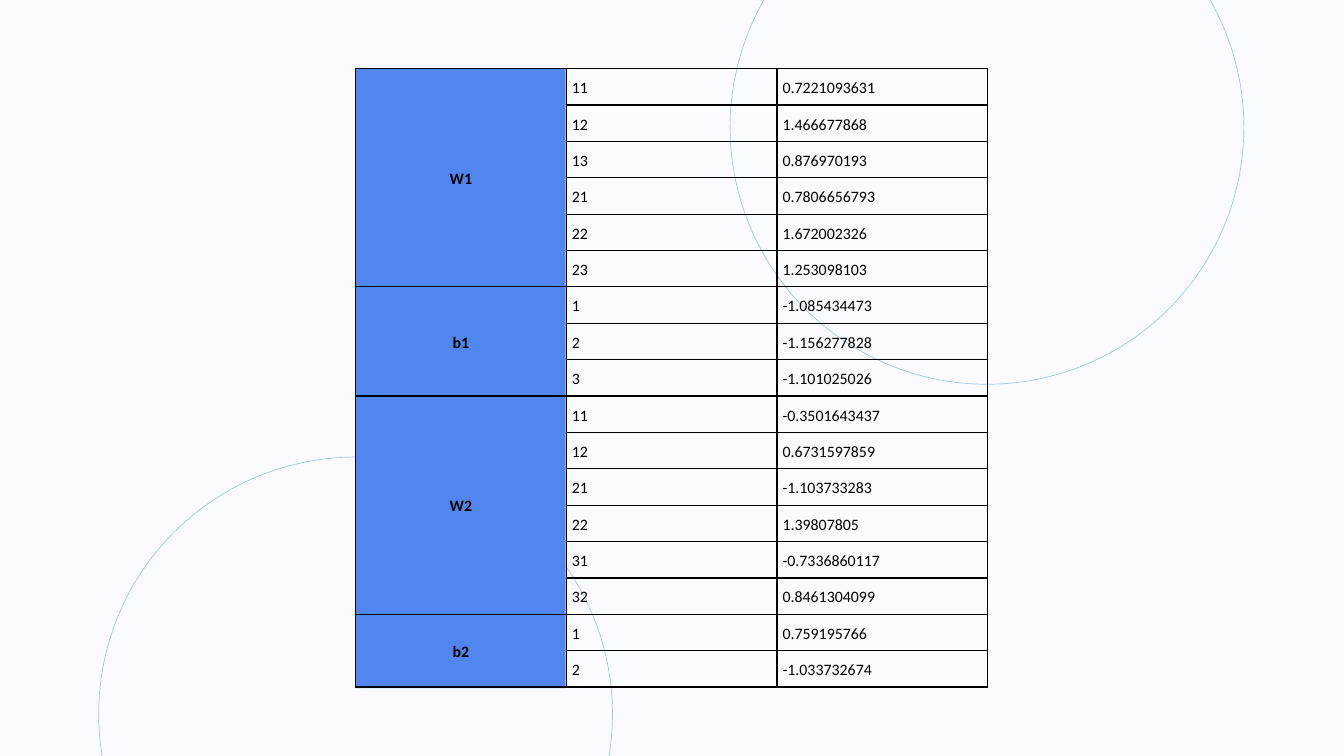
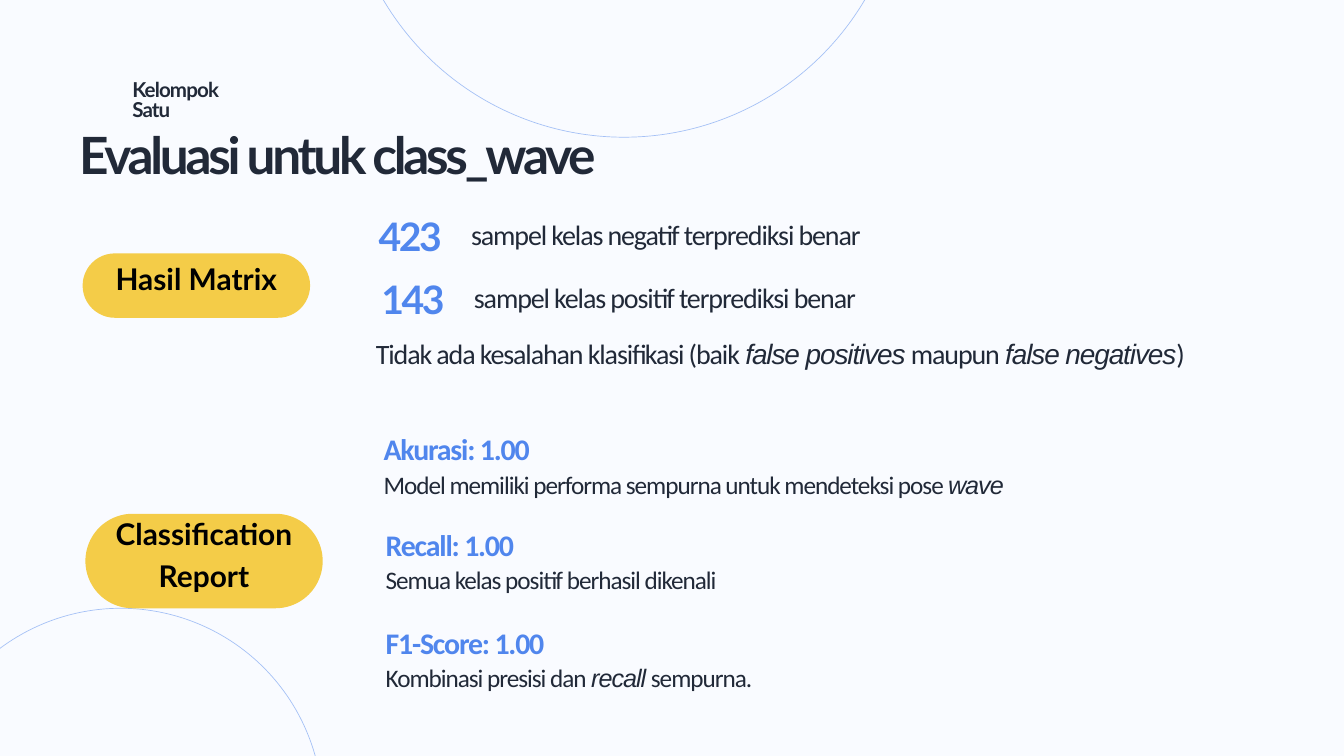
from dataclasses import dataclass

from lxml import etree
from pptx import Presentation
from pptx import util as u
from pptx.dml.color import RGBColor
from pptx.enum import shapes, text
from pptx.oxml.ns import qn

PX = 9525  # EMU in one px; the slide is 1920 by 1080 px
HUES = {
    "back": "F9FBFF",
    "blue": "5086ED",
    "gold": "F4CC48",
    "ink": "212938",
    "black": "000000",
}
KIND = shapes.MSO_SHAPE
MID = text.PP_ALIGN.CENTER


@dataclass(frozen=True)
class Box:
    x: int
    y: int
    w: int
    h: int

    def emu(self) -> list[int]:
        return [v * PX for v in (self.x, self.y, self.w, self.h)]


@dataclass(frozen=True)
class Style:
    face: str
    size: int
    lead: float
    hue: str
    bold: bool = False
    track: float = 0
    align: text.PP_ALIGN = text.PP_ALIGN.LEFT


@dataclass(frozen=True)
class Count:
    x: int
    y: int
    value: str
    label: str


@dataclass(frozen=True)
class Metric:
    x: int
    y: int
    head: str
    body: str


@dataclass(frozen=True)
class Pill:
    box: Box
    rise: int  # how far the label frame starts above the pill
    label: str


@dataclass(frozen=True)
class Group:
    name: str
    rows: dict[str, str]


TITLE = Style("Lato", 55, 51.7, "ink", True, -3.5)
TEAM = Style("Lato", 22, 22.2, "ink", True, -0.9)
NUMBER = Style("Lato", 42, 39.5, "blue", True, -2.7, MID)
LABEL = Style("Calibri", 30, 30.3, "ink", track=-1.2)
HEAD = Style("Calibri", 32, 32.3, "blue", True, -1.3)
BODY = Style("Calibri", 27, 27.2, "ink", track=-1.1)
BADGE = Style("Lato", 32, 44.8, "black", True, align=MID)
CELL = Style("Calibri", 17, 23.8, "black")
GROUP = Style("Calibri", 17, 23.8, "black", True, align=MID)

GROUPS = [
    Group("W1", {"11": "0.7221093631", "12": "1.466677868", "13": "0.876970193",
                 "21": "0.7806656793", "22": "1.672002326", "23": "1.253098103"}),
    Group("b1", {"1": "-1.085434473", "2": "-1.156277828", "3": "-1.101025026"}),
    Group("W2", {"11": "-0.3501643437", "12": "0.6731597859", "21": "-1.103733283",
                 "22": "1.39807805", "31": "-0.7336860117", "32": "0.8461304099"}),
    Group("b2", {"1": "0.759195766", "2": "-1.033732674"}),
]
COUNTS = [
    Count(503, 318, "423", "sampel kelas negatif terprediksi benar"),
    Count(507, 408, "143", "sampel kelas positif terprediksi benar"),
]
PILLS = [
    Pill(Box(118, 362, 325, 92), 28, "Hasil Matrix"),
    Pill(Box(122, 734, 339, 135), 27, "Classification Report"),
]
METRICS = [
    Metric(548, 624, "Akurasi: 1.00",
           "Model memiliki performa sempurna untuk mendeteksi pose *wave*"),
    Metric(551, 760, "Recall: 1.00", "Semua kelas positif berhasil dikenali"),
    Metric(551, 900, "F1-Score: 1.00", "Kombinasi presisi dan *recall* sempurna."),
]


def color(hue: str) -> RGBColor:
    return RGBColor.from_string(HUES[hue])


def write(frame, copy: str, style: Style) -> None:
    """Fill a frame line by line; words between asterisks are italic."""
    for n, line in enumerate(copy.split("\n")):
        para = frame.add_paragraph() if n else frame.paragraphs[0]
        para.alignment = style.align
        para.line_spacing = u.Pt(style.lead)
        font = para.font
        font.name, font.size, font.bold = style.face, u.Pt(style.size), style.bold
        font.color.rgb = color(style.hue)
        for k, part in enumerate(line.split("*")):
            if not part:
                continue
            run = para.add_run()
            run.text = part
            if k % 2:
                run.font.name, run.font.italic = "Arial", True
            if style.track:
                run._r.get_or_add_rPr().set("spc", str(round(style.track * 100)))


def inset(item, pad: int) -> None:
    item.margin_left = item.margin_right = pad * PX
    item.margin_top = item.margin_bottom = pad * PX


def label(slide, box: Box, copy: str, style: Style, pad: int = 0):
    frame = slide.shapes.add_textbox(*box.emu()).text_frame
    frame.word_wrap = True
    frame.auto_size = text.MSO_AUTO_SIZE.SHAPE_TO_FIT_TEXT
    inset(frame, pad)
    write(frame, copy, style)
    return frame


def block(slide, kind: KIND, box: Box, hue: str):
    shape = slide.shapes.add_shape(kind, *box.emu())
    shape.shadow.inherit = False
    shape.fill.solid()
    shape.fill.fore_color.rgb = color(hue)
    shape.line.fill.background()
    return shape


def ring(slide, x: int, y: int, size: int) -> None:
    shape = block(slide, KIND.OVAL, Box(x, y, size, size), "blue")
    shape.fill.background()
    shape.line.color.rgb = color("blue")
    shape.line.width = u.Pt(0.75)
    tint = next(shape._element.spPr.iter(qn("a:srgbClr")))
    etree.SubElement(tint, qn("a:alpha"), val="50000")


def badge(slide, pill: Pill) -> None:
    box = pill.box
    block(slide, KIND.ROUNDED_RECTANGLE, box, "gold").adjustments[0] = 0.5
    area = Box(box.x, box.y - pill.rise, box.w, box.h + pill.rise)
    frame = label(slide, area, pill.label, BADGE, 7)
    frame.auto_size = text.MSO_AUTO_SIZE.NONE
    frame.vertical_anchor = text.MSO_ANCHOR.MIDDLE


def border(cell) -> None:
    props = cell._tc.get_or_add_tcPr()
    for side in "LRTB":
        line = etree.SubElement(props, qn(f"a:ln{side}"), w=str(u.Pt(1.5)))
        fill = etree.SubElement(line, qn("a:solidFill"))
        etree.SubElement(fill, qn("a:srgbClr"), val=HUES["black"])


def grid(slide, x: int, y: int, wide: int, high: int) -> None:
    count = sum(len(group.rows) for group in GROUPS)
    box = Box(x, y, wide * 3, high * count)
    table = slide.shapes.add_table(count, 3, *box.emu()).table
    table.first_row = table.horz_banding = False
    for col in table.columns:
        col.width = wide * PX
    for row in table.rows:
        row.height = high * PX
    for cell in table.iter_cells():
        border(cell)
        cell.fill.background()
        inset(cell, 8)
        cell.vertical_anchor = text.MSO_ANCHOR.MIDDLE
    top = 0
    for group in GROUPS:
        first = table.cell(top, 0)
        first.merge(table.cell(top + len(group.rows) - 1, 0))
        write(first.text_frame, group.name, GROUP)
        for n, pair in enumerate(group.rows.items(), top):
            for col, value in enumerate(pair, 1):
                write(table.cell(n, col).text_frame, value, CELL)
        top += len(group.rows)


def blank(deck):
    slide = deck.slides.add_slide(deck.slide_layouts[6])
    slide.background.fill.solid()
    slide.background.fill.fore_color.rgb = color("back")
    return slide


def weights(deck) -> None:
    slide = blank(deck)
    # Blue column behind the group names
    block(slide, KIND.RECTANGLE, Box(508, 98, 300, 885), "blue")
    ring(slide, 1043, -185, 734)
    ring(slide, 141, 653, 734)
    grid(slide, 508, 98, 301, 52)


def scores(deck) -> None:
    slide = blank(deck)
    # Rings and headings
    ring(slide, 492, -603, 799)
    ring(slide, -116, 869, 577)
    label(slide, Box(113, 195, 1182, 72), "Evaluasi untuk class_wave", TITLE)
    label(slide, Box(189, 115, 171, 60), "Kelompok\nSatu", TEAM)
    for pill in PILLS:
        badge(slide, pill)
    # Matrix results
    for item in COUNTS:
        label(slide, Box(item.x, item.y, 166, 56), item.value, NUMBER)
        label(slide, Box(item.x + 170, item.y, 805, 42), item.label, LABEL)
    label(slide, Box(537, 489, 1263, 42),
          "Tidak ada kesalahan klasifikasi (baik *false positives* maupun "
          "*false negatives*)", LABEL)
    # Report metrics
    for item in METRICS:
        label(slide, Box(item.x, item.y, 701, 45), item.head, HEAD)
        label(slide, Box(item.x, item.y + 53, 1345, 37), item.body, BODY)


def main() -> None:
    deck = Presentation()
    deck.slide_width, deck.slide_height = 1920 * PX, 1080 * PX
    weights(deck)
    scores(deck)
    deck.save("out.pptx")


if __name__ == "__main__":
    main()
